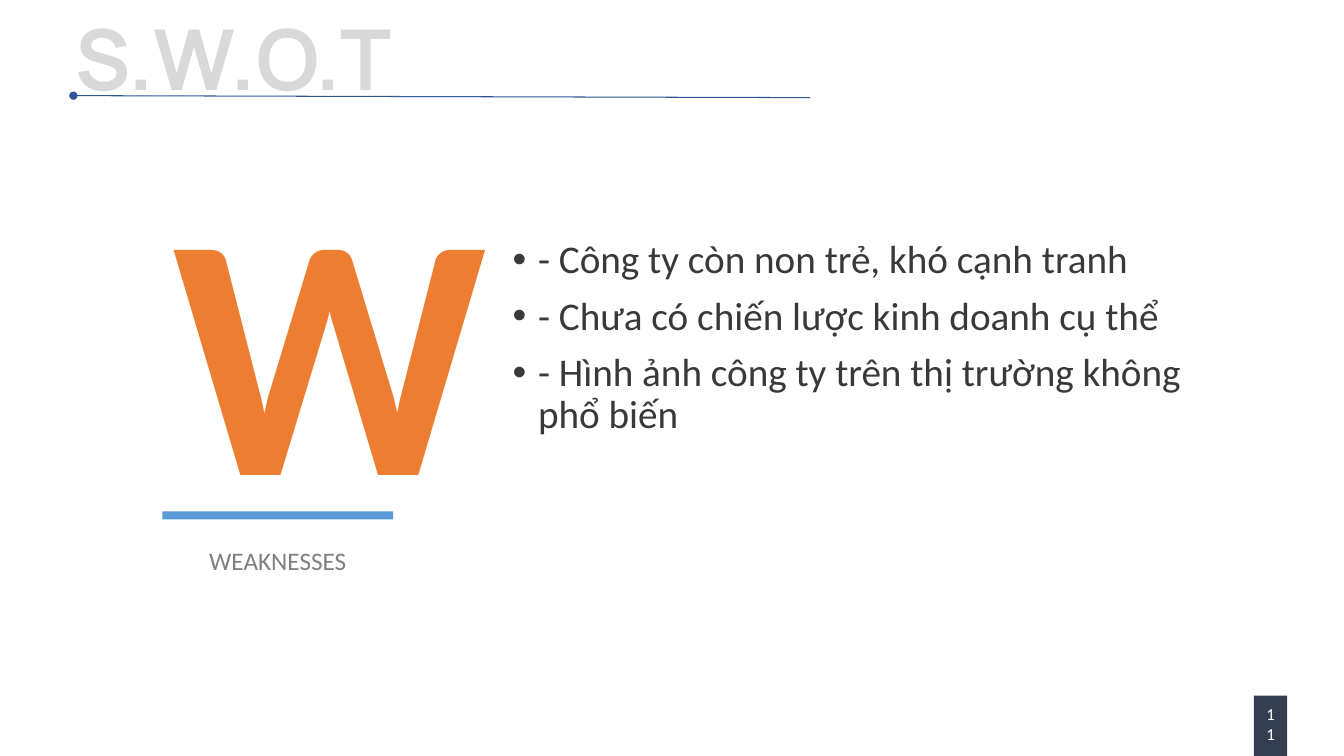
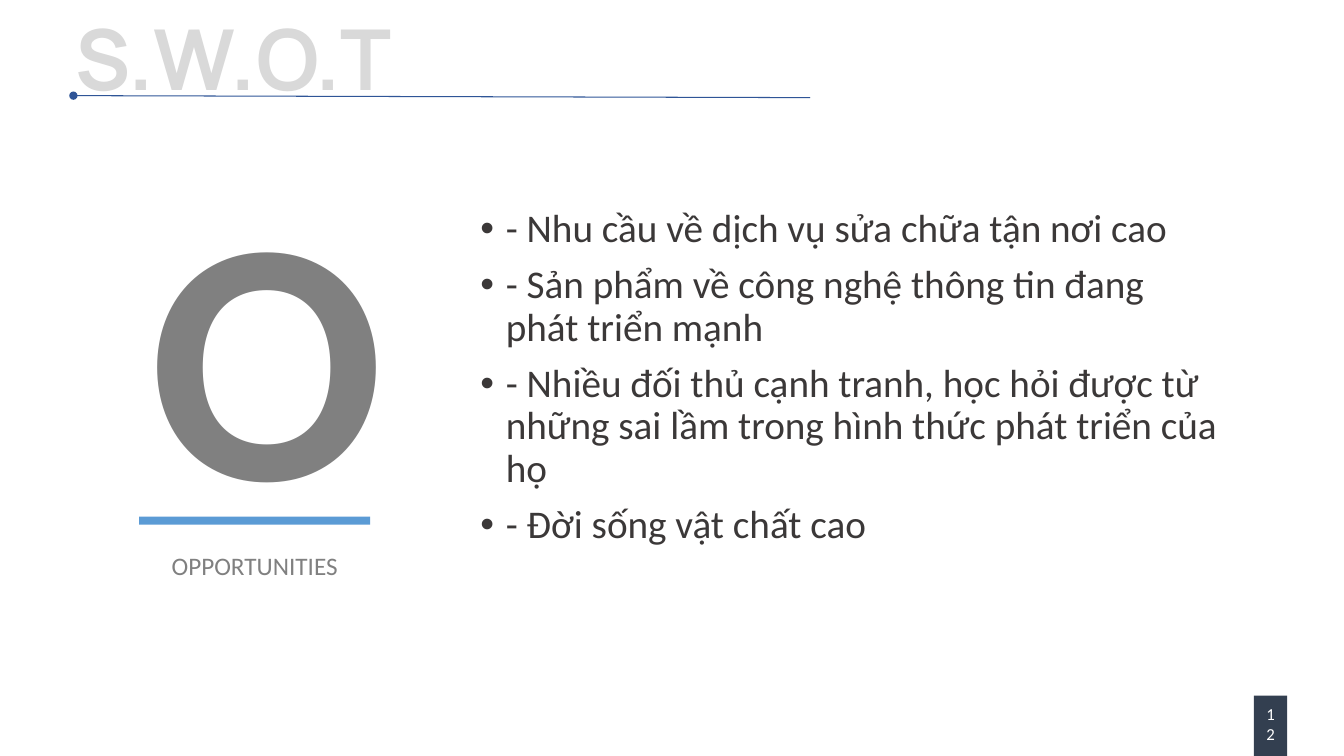
from lxml.etree import SubElement
from pptx import Presentation
from pptx.dml.color import RGBColor
from pptx.enum.shapes import MSO_CONNECTOR, MSO_SHAPE
from pptx.enum.text import MSO_ANCHOR, MSO_AUTO_SIZE, PP_ALIGN
from pptx.oxml.ns import qn
from pptx.util import Cm, Pt

# Shared look
WHITE = RGBColor(0xFF, 0xFF, 0xFF)
PALE = RGBColor(0xD9, 0xD9, 0xD9)
GRAY = RGBColor(0x80, 0x80, 0x80)
INK = RGBColor(0x3B, 0x38, 0x38)
NAVY = RGBColor(0x33, 0x3F, 0x50)
BLUE = RGBColor(0x2F, 0x55, 0x97)
SKY = RGBColor(0x5B, 0x9B, 0xD5)
ORANGE = RGBColor(0xED, 0x7D, 0x31)
BODY = "Calibri"
HEAD = "Manrope"
INSET = (0.25, 0.13, 0.25, 0.13)
INDENT = Cm(0.64)

# Each slide: letter, its colour, label, label width, panel corner,
# list corner, points, page number
TOPICS = [
    ("W", ORANGE, "WEAKNESSES", 4.45, (4.09, 4.29), (12.67, 5.92), [
        "- Công ty còn non trẻ, khó cạnh tranh",
        "- Chưa có chiến lược kinh doanh cụ thể",
        "- Hình ảnh công ty trên thị trường không phổ biến",
    ], 11),
    ("O", GRAY, "OPPORTUNITIES", 5.26, (3.51, 4.42), (11.86, 5.13), [
        "- Nhu cầu về dịch vụ sửa chữa tận nơi cao",
        "- Sản phẩm về công nghệ thông tin đang phát triển mạnh",
        "- Nhiều đối thủ cạnh tranh, học hỏi được từ những sai lầm "
        "trong hình thức phát triển của họ",
        "- Đời sống vật chất cao",
    ], 12),
]


def write(shape, lines, size, color, font=BODY, bold=False, align=PP_ALIGN.LEFT,
          lead=1.0, gap=0, inset=INSET, wrap=True, bullet=False):
    """Fill a shape with one formatted paragraph per line."""
    frame = shape.text_frame
    frame.auto_size = MSO_AUTO_SIZE.NONE
    frame.word_wrap = wrap
    frame.vertical_anchor = MSO_ANCHOR.TOP
    (frame.margin_left, frame.margin_top,
     frame.margin_right, frame.margin_bottom) = map(Cm, inset)
    for i, line in enumerate(lines):
        para = frame.add_paragraph() if i else frame.paragraphs[0]
        para.alignment = align
        para.line_spacing = lead
        para.space_before = Pt(gap)
        run = para.add_run()
        run.text = line
        run.font.name = font
        run.font.size = Pt(size)
        run.font.bold = bold
        run.font.color.rgb = color
        if bullet:
            props = para._p.get_or_add_pPr()
            props.set("marL", str(INDENT))
            props.set("indent", str(-INDENT))
            SubElement(props, qn("a:buFont"), typeface="Arial")
            SubElement(props, qn("a:buChar"), char="•")


def textbox(slide, x, y, w, h, lines, **style):
    box = slide.shapes.add_textbox(Cm(x), Cm(y), Cm(w), Cm(h))
    write(box, lines, **style)


def block(slide, x, y, w, h, color):
    rect = slide.shapes.add_shape(MSO_SHAPE.RECTANGLE, Cm(x), Cm(y), Cm(w), Cm(h))
    rect.shadow.inherit = False
    rect.fill.solid()
    rect.fill.fore_color.rgb = color
    rect.line.fill.background()
    return rect


def header(slide, x, y, w, h):
    # Title
    title = slide.shapes.title
    title.left, title.top, title.width, title.height = map(Cm, (x, y, w, h))
    write(title, ["S.W.O.T"], size=60, color=PALE, font=HEAD, bold=True,
          lead=0.9, gap=10, inset=(0, 0, 0, 0), wrap=False)
    # Rule with a round start
    rule = slide.shapes.add_connector(
        MSO_CONNECTOR.STRAIGHT, Cm(x - 0.05), Cm(y + 1.95),
        Cm(x + w + 0.28), Cm(y + 2))
    rule.line.color.rgb = BLUE
    rule.line.width = Pt(0.75)
    SubElement(rule.line._get_or_add_ln(), qn("a:headEnd"), type="oval")
    SubElement(rule._element.spPr, qn("a:effectLst"))


def badge(slide, x, y, w, h, page):
    rect = block(slide, x, y, w, h, NAVY)
    write(rect, [str(page)], size=12, color=WHITE, align=PP_ALIGN.CENTER,
          inset=(0.25, 0.2, 0.25, 0.13))


def panel(slide, x, y, w, h, letter, color, label, span):
    # Big letter, bar below it, label centred under the bar
    textbox(slide, x, y, w, h, [letter], size=248, color=color, bold=True,
            align=PP_ALIGN.CENTER, lead=0.9, gap=20)
    block(slide, x, y + h, w, 0.2, SKY)
    textbox(slide, x + (w - span) / 2, y + h + 0.87, span, 0.94, [label],
            size=18, color=GRAY, align=PP_ALIGN.CENTER, lead=0.8, gap=20)


def points(slide, x, y, w, h, lines):
    textbox(slide, x, y, w, h, lines, size=28, color=INK, lead=0.9, gap=10,
            bullet=True)


def main():
    deck = Presentation()
    deck.slide_width, deck.slide_height = Cm(33.87), Cm(19.05)
    for letter, color, label, span, spot, start, lines, page in TOPICS:
        slide = deck.slides.add_slide(deck.slide_layouts[5])
        header(slide, 1.9, 0.46, 18.24, 3.84)
        badge(slide, 31.6, 17.53, 0.84, 1.52, page)
        panel(slide, *spot, 5.82, 8.6, letter, color, label, span)
        points(slide, *start, 30.98 - start[0], 11.18, lines)
    deck.save("out.pptx")


if __name__ == "__main__":
    main()
